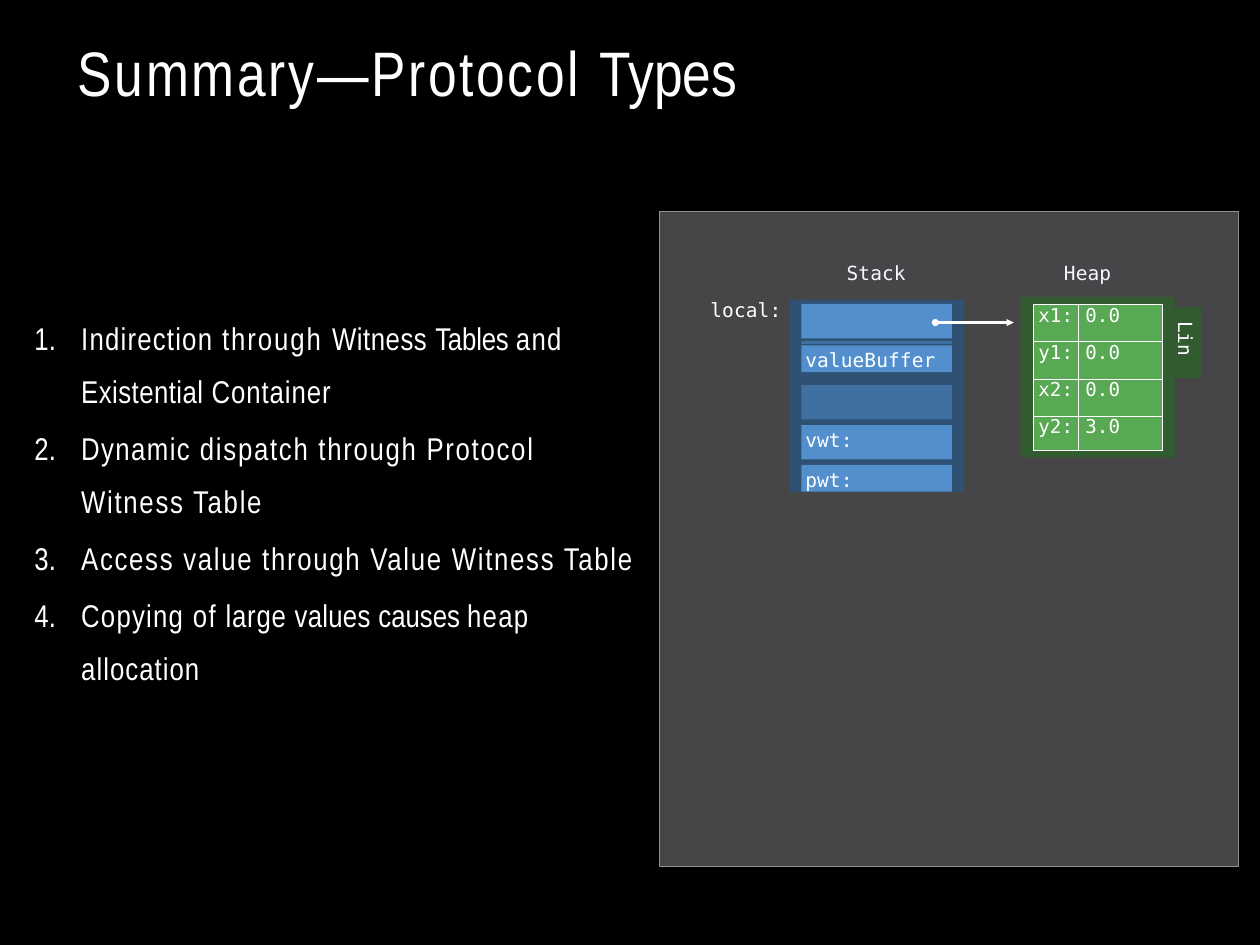
from dataclasses import dataclass

from lxml.etree import SubElement
from pptx import Presentation
from pptx.dml.color import RGBColor
from pptx.enum.shapes import MSO_CONNECTOR as CONNECTOR, MSO_SHAPE as SHAPE
from pptx.enum.text import MSO_ANCHOR as ANCHOR, MSO_AUTO_SIZE as AUTO, PP_ALIGN as ALIGN
from pptx.oxml.ns import qn
from pptx.util import Inches, Pt


@dataclass(frozen=True)
class Theme:
    black: str = "000000"
    white: str = "FFFFFF"
    heading: str = "F7F7FF"
    panel: str = "464648"
    panel_line: str = "8E8E93"
    stack: str = "2E5174"
    field: str = "528FCC"
    heap: str = "305C2F"
    value: str = "58A854"
    sans: str = "Arial Narrow"
    mono: str = "DejaVu Sans Mono"
    title_size: float = 65.8
    list_size: float = 32.9
    code_size: float = 20.4
    table_size: float = 20


T = Theme()
CODE = {"name": T.mono, "size": Pt(T.code_size)}
TABLE = {"name": T.mono, "size": Pt(T.table_size)}
TITLE = {"name": T.sans, "size": Pt(T.title_size)}
LIST = {"name": T.sans, "size": Pt(T.list_size)}
FRAME = {"margin_left": 0, "margin_top": 0, "margin_right": 0, "margin_bottom": 0,
         "word_wrap": True, "auto_size": AUTO.NONE, "vertical_anchor": ANCHOR.TOP}

TITLE_SPANS = [("Summary—Protocol ", 2.9), ("Types", -0.1)]
POINTS = [
    [("Indirection ", 1.3), ("through ", 2), ("Witness ", 0.6), ("Tables ", -0.2),
     ("and ", 1.5), ("Existential ", 0.5), ("Container", 1)],
    [("Dynamic ", 1.5), ("dispatch through Protocol Witness Table", 1.8)],
    [("Access value through Value Witness Table", 1.8)],
    [("Copying ", 1.3), ("of ", 1.5), ("large ", 0.8), ("values ", 0.3),
     ("causes ", 0), ("heap ", 1.3), ("allocation", 1.1)],
]
LINE_VALUES = [("x1:", "0.0"), ("y1:", "0.0"), ("x2:", "0.0"), ("y2:", "3.0")]
FIELD_LEFT, FIELD_WIDTH = 11.65, 2.19


def apply(target, values):
    for name, value in values.items():
        setattr(target, name, value)


def box(left, top, width, height):
    return [Inches(v) for v in (left, top, width, height)]


def add_spans(p, spans, style, color=T.white):
    p.alignment = ALIGN.LEFT
    for text, spacing in spans:
        r = p.add_run()
        r.text = text
        apply(r.font, style)
        r.font.color.rgb = RGBColor.from_string(color)
        r._r.get_or_add_rPr().set("spc", str(round(spacing * 100)))


def add_rect(s, area, color, line=None, alpha=None):
    sp = s.shapes.add_shape(SHAPE.RECTANGLE, *box(*area))
    sp.shadow.inherit = False
    sp.fill.solid()
    sp.fill.fore_color.rgb = RGBColor.from_string(color)
    if line:
        sp.line.color.rgb = RGBColor.from_string(line)
        sp.line.width = Pt(0.82)
    else:
        sp.line.fill.background()
    if alpha:
        srgb = sp._element.spPr.find(qn("a:solidFill")).find(qn("a:srgbClr"))
        SubElement(srgb, qn("a:alpha")).set("val", str(alpha * 1000))
    return sp


def add_field(s, top, height, text="", inset=0.04, alpha=None):
    sp = add_rect(s, (FIELD_LEFT, top, FIELD_WIDTH, height), T.field, alpha=alpha)
    if text:
        tf = sp.text_frame
        apply(tf, FRAME | {"margin_left": Inches(0.06), "margin_top": Inches(inset)})
        add_spans(tf.paragraphs[0], [(text, 0.1)], CODE)


def add_label(s, area, text, color=T.white):
    tf = s.shapes.add_textbox(*box(*area)).text_frame
    apply(tf, FRAME)
    add_spans(tf.paragraphs[0], [(text, 0.1)], CODE, color)
    return tf


def add_title(s):
    title = s.shapes.title
    apply(title, dict(zip(("left", "top", "width", "height"), box(1.13, 0.49, 16.06, 1.11))))
    apply(title.text_frame, FRAME)
    add_spans(title.text_frame.paragraphs[0], TITLE_SPANS, TITLE)


def add_points(s):
    tf = s.shapes.add_textbox(*box(0.49, 4.41, 8.81, 5.67)).text_frame
    apply(tf, FRAME)
    for i, spans in enumerate(POINTS):
        p = tf.add_paragraph() if i else tf.paragraphs[0]
        apply(p, {"line_spacing": Pt(55.7), "space_before": Pt(3.8 if i else 0)})
        pPr = p._p.get_or_add_pPr()
        pPr.set("marL", str(Inches(0.69)))
        pPr.set("indent", str(Inches(-0.68)))
        SubElement(pPr, qn("a:buFont")).set("typeface", T.sans)
        SubElement(pPr, qn("a:buAutoNum")).set("type", "arabicPeriod")
        add_spans(p, spans, LIST)


def add_values(s):
    table = s.shapes.add_table(len(LINE_VALUES), 2, *box(15.02, 4.43, 1.88, 2.12)).table
    apply(table, {"first_row": False, "horz_banding": False})
    for column, width in zip(table.columns, (0.66, 1.22)):
        column.width = Inches(width)
    for row, height, texts in zip(table.rows, (0.54, 0.54, 0.54, 0.5), LINE_VALUES):
        row.height = Inches(height)
        for i, (cell, text) in enumerate(zip(row.cells, texts)):
            apply(cell, {"margin_left": Inches(0.1 * i), "margin_right": 0,
                         "margin_top": 0, "margin_bottom": 0})
            cell.fill.solid()
            cell.fill.fore_color.rgb = RGBColor.from_string(T.value)
            p = cell.text_frame.paragraphs[0]
            add_spans(p, [(text, 0.1)], TABLE)
            p.alignment = ALIGN.LEFT if i else ALIGN.CENTER


def add_pointer(s, x1, x2, y):
    arrow = s.shapes.add_connector(CONNECTOR.STRAIGHT, *box(x1, y, x2, y))
    arrow.line.color.rgb = RGBColor.from_string(T.white)
    arrow.line.width = Pt(2.47)
    ln = arrow.line._get_or_add_ln()
    SubElement(ln, qn("a:headEnd")).set("type", "oval")
    SubElement(ln, qn("a:tailEnd")).set("type", "triangle")
    SubElement(arrow._element.spPr, qn("a:effectLst"))


def add_stack(s):
    add_label(s, (12.31, 3.79, 0.89, 0.34), "Stack", T.heading)
    add_label(s, (10.33, 4.33, 1.06, 0.34), "local:")
    add_rect(s, (11.49, 4.36, 2.53, 2.79), T.stack)
    add_field(s, 4.42, 0.5)
    add_field(s, 4.96, 0.04, alpha=50)
    add_field(s, 5.02, 0.39, "valueBuffer")
    add_field(s, 5.6, 0.5, alpha=50)
    add_field(s, 6.18, 0.5, "vwt:")
    add_field(s, 6.76, 0.39, "pwt:")


def add_heap(s):
    add_label(s, (15.47, 3.79, 0.71, 0.34), "Heap", T.heading)
    add_rect(s, (17.09, 4.47, 0.37, 1.03), T.heap)
    tf = add_label(s, (16.78, 4.67, 0.59, 0.66), "Line")
    tf._txBody.bodyPr.set("vert", "vert")
    tf.paragraphs[0].line_spacing = Pt(21.3)
    add_rect(s, (14.84, 4.32, 2.24, 2.33), T.heap)
    add_values(s)


def main():
    prs = Presentation()
    apply(prs, {"slide_width": Inches(18.32), "slide_height": Inches(13.74)})
    s = prs.slides.add_slide(prs.slide_layouts[5])
    s.background.fill.solid()
    s.background.fill.fore_color.rgb = RGBColor.from_string(T.black)
    add_title(s)
    add_points(s)
    add_rect(s, (9.59, 3.07, 8.41, 9.53), T.panel, T.panel_line)
    add_stack(s)
    add_heap(s)
    add_pointer(s, 13.6, 14.74, 4.69)
    prs.save("out.pptx")


if __name__ == "__main__":
    main()
